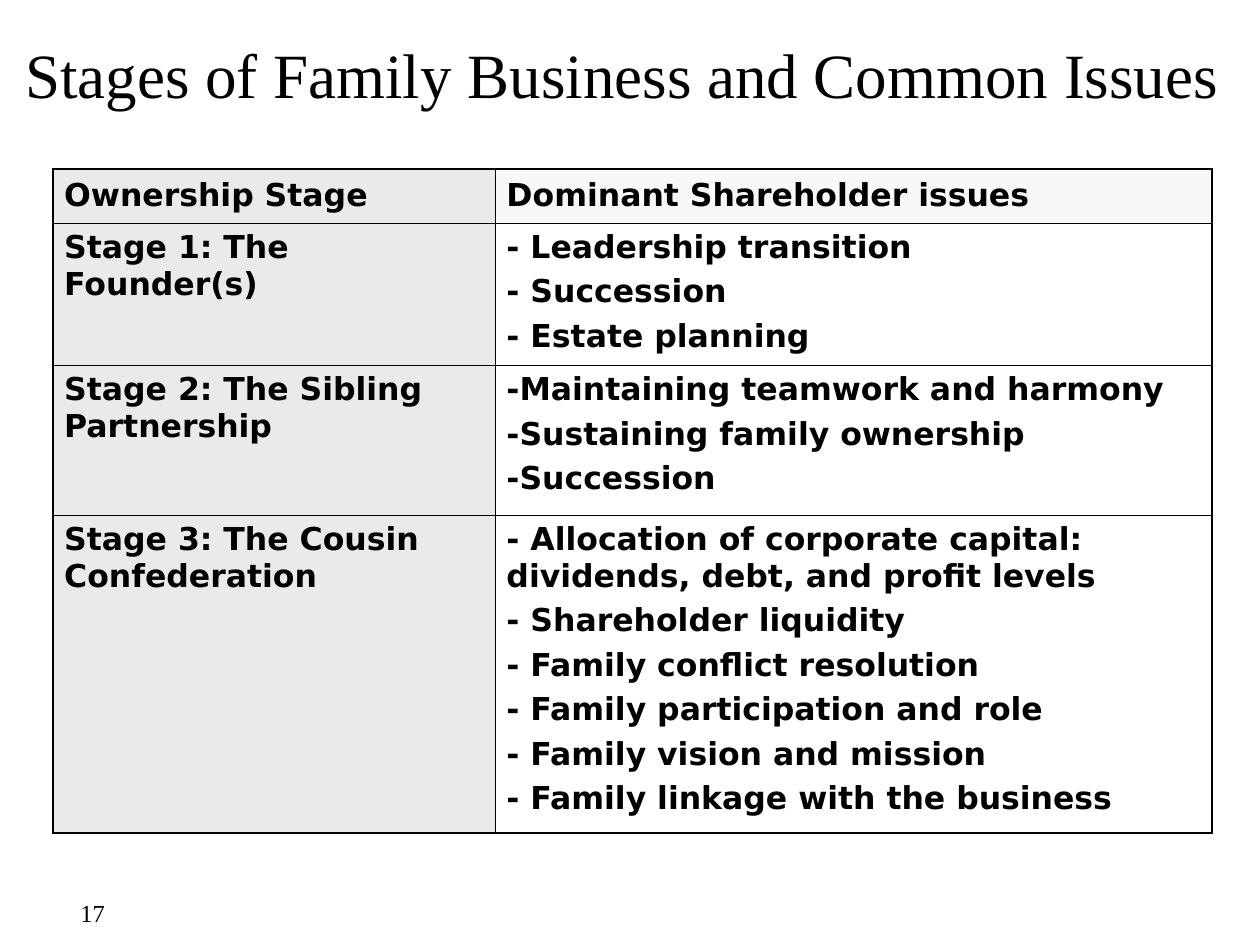
import pptx
import pptx.dml.color
import pptx.enum.text
import pptx.oxml
import pptx.oxml.ns
import pptx.util

COLOURS = {"ink": "000000", "stage": "EAEAEA", "heading": "F8F8F8", "issues": "FFFFFF"}
SERIF = "Times New Roman"
SANS = "DejaVu Sans"
GRID_COLUMNS, GRID_ROWS = 100, 75
THICK, THIN = 1.08, 0.45
ALIGN = pptx.enum.text.PP_ALIGN
ANCHOR = pptx.enum.text.MSO_ANCHOR

STAGES = [
    ("Ownership Stage", ["Dominant Shareholder issues"]),
    ("Stage 1: The Founder(s)",
     ["- Leadership transition", "- Succession", "- Estate planning"]),
    ("Stage 2: The Sibling Partnership",
     ["-Maintaining teamwork and harmony", "-Sustaining family ownership", "-Succession"]),
    ("Stage 3: The Cousin Confederation",
     ["- Allocation of corporate capital: dividends, debt, and profit levels",
      "- Shareholder liquidity",
      "- Family conflict resolution",
      "- Family participation and role",
      "- Family vision and mission",
      "- Family linkage with the business"]),
]


def rgb(name):
    return pptx.dml.color.RGBColor.from_string(COLOURS[name])


class SlideBuilder:
    def __init__(self, deck):
        self.slide = deck.slides.add_slide(deck.slide_layouts[5])
        self.column = deck.slide_width / GRID_COLUMNS
        self.row = deck.slide_height / GRID_ROWS

    def across(self, columns):
        return round(columns * self.column)

    def down(self, rows):
        return round(rows * self.row)

    def box(self, left, top, width, height):
        return self.across(left), self.down(top), self.across(width), self.down(height)

    def set_lines(self, frame, lines, face, size, bold=False, align=ALIGN.LEFT, gap=0):
        frame.word_wrap = True
        for index, line in enumerate(lines):
            paragraph = frame.add_paragraph() if index else frame.paragraphs[0]
            paragraph.text = line
            paragraph.alignment = align
            if index:
                paragraph.space_before = pptx.util.Pt(gap)
            paragraph.font.name = face
            paragraph.font.size = pptx.util.Pt(size)
            paragraph.font.bold = bold
            paragraph.font.color.rgb = rgb("ink")

    def title(self, text, *place):
        heading = self.slide.shapes.title
        heading.left, heading.top, heading.width, heading.height = self.box(*place)
        heading.text_frame.auto_size = pptx.enum.text.MSO_AUTO_SIZE.NONE
        heading.text_frame.vertical_anchor = ANCHOR.MIDDLE
        self.set_lines(heading.text_frame, [text], SERIF, 36, align=ALIGN.CENTER)

    def page_number(self, text, *place):
        number = self.slide.shapes.add_textbox(*self.box(*place))
        self.set_lines(number.text_frame, [text], SERIF, 14, align=ALIGN.RIGHT)

    def border(self, cell, **widths):
        properties = cell._tc.get_or_add_tcPr()
        for side in "LRTB":
            properties.append(pptx.oxml.parse_xml(
                f'<a:ln{side} {pptx.oxml.ns.nsdecls("a")} w="{pptx.util.Pt(widths[side])}">'
                f'<a:solidFill><a:srgbClr val="{COLOURS["ink"]}"/></a:solidFill>'
                f'</a:ln{side}>'))

    def stage_table(self, stages, left, top, widths, heights):
        place = self.box(left, top, sum(widths), sum(heights))
        table = self.slide.shapes.add_table(len(stages), len(widths), *place).table
        table.horz_banding = False
        for column, width in zip(table.columns, widths):
            column.width = self.across(width)
        for row, height in zip(table.rows, heights):
            row.height = self.down(height)
        last = len(stages) - 1
        for r, (stage, issues) in enumerate(stages):
            fills = ("stage", "issues" if r else "heading")
            for c, lines in enumerate(([stage], issues)):
                cell = table.cell(r, c)
                cell.margin_left = cell.margin_right = self.across(0.9)
                cell.margin_top = cell.margin_bottom = self.down(0.5)
                cell.vertical_anchor = ANCHOR.TOP if r else ANCHOR.MIDDLE
                self.set_lines(cell.text_frame, lines, SANS, 18, bold=True, gap=4.5)
                self.border(cell,
                            L=THIN if c else THICK, R=THICK if c else THIN,
                            T=THIN if r else THICK, B=THICK if r == last else THIN)
                cell.fill.solid()
                cell.fill.fore_color.rgb = rgb(fills[c])


def main():
    deck = pptx.Presentation()
    deck.slide_width = pptx.util.Inches(10)
    deck.slide_height = pptx.util.Inches(7.5)
    page = SlideBuilder(deck)
    page.page_number("17", -3.9, 70.8, 13.2, 5)
    page.title("Stages of Family Business and Common Issues ", 0, 0, 100, 11.7)
    page.stage_table(STAGES, 4.2, 13.4, (35.1, 56.9), (4.3, 11.3, 11.9, 25.2))
    deck.save("out.pptx")


if __name__ == "__main__":
    main()
